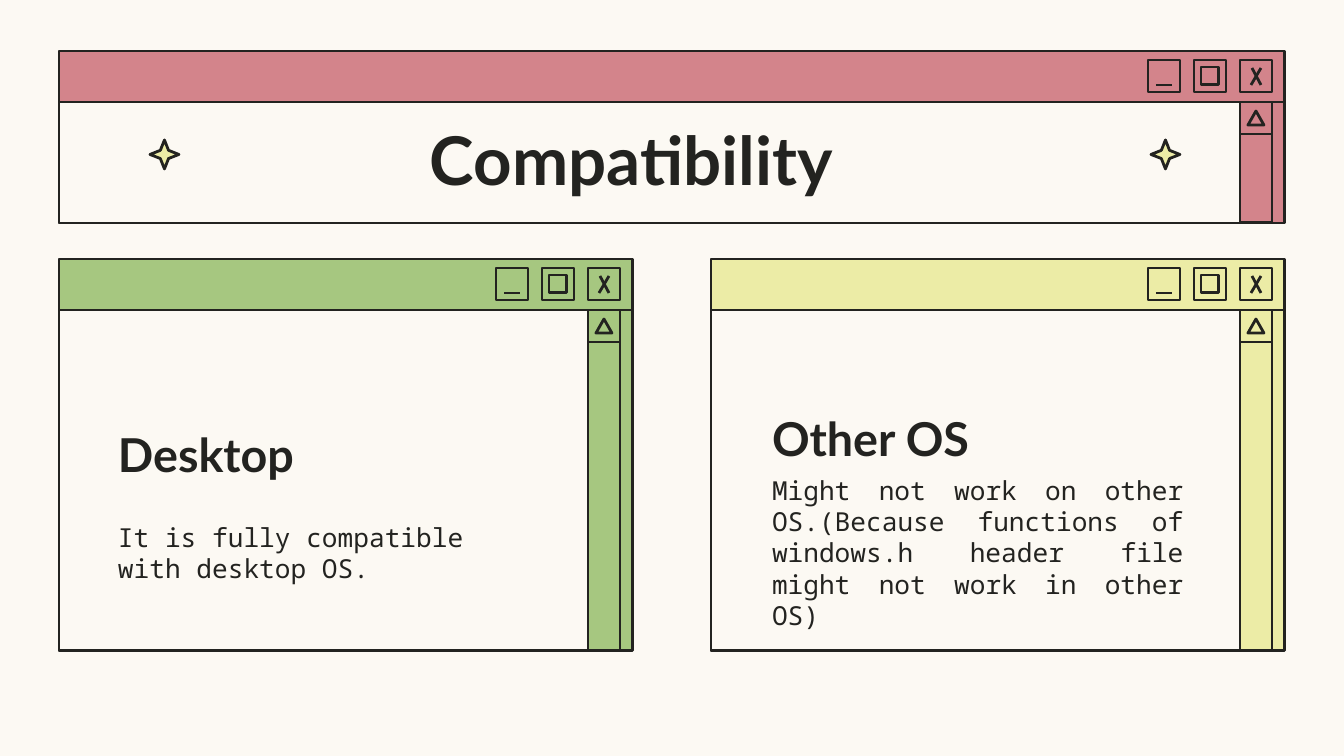
import pptx
import pptx.dml.color
import pptx.enum.shapes
import pptx.enum.text
import pptx.oxml.ns
import pptx.util
from lxml import etree

SHAPES = pptx.enum.shapes.MSO_SHAPE
ALIGN = pptx.enum.text.PP_ALIGN
PX = 914400 / 134.4

COLORS = {
    "paper": "FCF9F3",
    "ink": "232320",
    "pink": "D3848B",
    "green": "A6C780",
    "yellow": "ECECA6",
}

# left, top, right, bottom, color
WINDOWS = [
    (711, 259, 1285, 651, "yellow"),
    (59, 259, 633, 651, "green"),
    (59, 51, 1285, 223, "pink"),
]

STYLES = {
    "title": {"font": "Lato", "size": 36, "bold": True, "spacing": 1.0},
    "heading": {"font": "Lato", "size": 25, "bold": True, "spacing": 1.0},
    "body": {"font": "Noto Sans Mono", "size": 14, "bold": False,
             "spacing": pptx.util.Pt(16.8)},
}

# placeholder index, style, alignment, (left, top, width, height), text
TEXTS = [
    (0, "title", ALIGN.CENTER, (98, 114, 1067, 90), "Compatibility"),
    (1, "heading", ALIGN.LEFT, (105, 418, 438, 71), "Desktop"),
    (2, "body", ALIGN.LEFT, (105, 482, 438, 141),
     "It is fully compatible with desktop OS."),
    (3, "heading", ALIGN.LEFT, (759, 402, 438, 71), "Other OS"),
    (4, "body", ALIGN.JUSTIFY, (759, 482, 438, 141),
     "Might not work on other OS.(Because functions of windows.h header file "
     "might not work in other OS)"),
]

STARS = [(1151, 140), (150, 140)]
STAR_SIZE = 29

HEADER = 51
BUTTON = 32
BUTTON_STEP = 46
BUTTON_TOP = 9
SCROLL_INSET = 45
TEXT_INSET = 13


def emu(px):
    return pptx.util.Emu(round(px * PX))


def rgb(name):
    return pptx.dml.color.RGBColor.from_string(COLORS[name])


def ink_line(shape):
    shape.line.color.rgb = rgb("ink")
    shape.line.width = pptx.util.Pt(1.5)


def add_outlined(slide, kind, left, top, width, height, fill=None):
    shape = slide.shapes.add_shape(kind, emu(left), emu(top), emu(width), emu(height))
    shape.shadow.inherit = False
    if fill:
        shape.fill.solid()
        shape.fill.fore_color.rgb = rgb(fill)
    else:
        shape.fill.background()
    ink_line(shape)
    return shape


def add_stroke(slide, x1, y1, x2, y2):
    connector = slide.shapes.add_connector(
        pptx.enum.shapes.MSO_CONNECTOR.STRAIGHT, emu(x1), emu(y1), emu(x2), emu(y2))
    ink_line(connector)
    etree.SubElement(connector.element.spPr, pptx.oxml.ns.qn("a:effectLst"))


def add_buttons(slide, close_left, top):
    """Draw close, maximize and minimize, stepping leftwards."""
    close, maximize, minimize = (close_left - BUTTON_STEP * i for i in range(3))
    for left in (close, maximize, minimize):
        add_outlined(slide, SHAPES.RECTANGLE, left, top, BUTTON, BUTTON)
    add_outlined(slide, SHAPES.RECTANGLE, maximize + 7, top + 7, 18, 18)
    add_stroke(slide, close + 12, top + 8, close + 21, top + 25)
    add_stroke(slide, close + 21, top + 8, close + 11, top + 25)
    add_stroke(slide, minimize + 8, top + 25, minimize + 24, top + 25)


def add_window(slide, left, top, right, bottom, color):
    body_top = top + HEADER
    height = bottom - body_top
    scroll_left = right - SCROLL_INSET
    width = right - left
    add_outlined(slide, SHAPES.RECTANGLE, left, top, width, HEADER, color)
    add_outlined(slide, SHAPES.RECTANGLE, left, body_top, width, height, color)
    add_outlined(slide, SHAPES.RECTANGLE, left, body_top, scroll_left - left, height, "paper")
    add_buttons(slide, scroll_left, top + BUTTON_TOP)
    add_outlined(slide, SHAPES.RECTANGLE, scroll_left, body_top, BUTTON, BUTTON)
    add_outlined(slide, SHAPES.ISOSCELES_TRIANGLE, scroll_left + 8, body_top + 9, 16, 14)
    add_outlined(slide, SHAPES.RECTANGLE, scroll_left, body_top + BUTTON,
                 BUTTON, height - BUTTON, color)


def remove_bullet(paragraph):
    properties = paragraph._p.get_or_add_pPr()
    properties.set("marL", "0")
    properties.set("indent", "0")
    etree.SubElement(properties, pptx.oxml.ns.qn("a:buNone"))


def fill_placeholder(slide, index, style, alignment, box, text):
    placeholder = slide.placeholders[index]
    placeholder.left, placeholder.top, placeholder.width, placeholder.height = map(emu, box)
    # Bring the text in front of the windows
    placeholder.element.getparent().append(placeholder.element)

    frame = placeholder.text_frame
    frame.text = text
    frame.word_wrap = True
    frame.auto_size = pptx.enum.text.MSO_AUTO_SIZE.NONE
    frame.vertical_anchor = pptx.enum.text.MSO_ANCHOR.MIDDLE
    frame.margin_left = frame.margin_right = emu(TEXT_INSET)
    frame.margin_top = frame.margin_bottom = emu(TEXT_INSET)

    look = STYLES[style]
    paragraph = frame.paragraphs[0]
    paragraph.alignment = alignment
    paragraph.line_spacing = look["spacing"]
    paragraph.space_before = pptx.util.Pt(0)
    remove_bullet(paragraph)
    paragraph.font.name = look["font"]
    paragraph.font.size = pptx.util.Pt(look["size"])
    paragraph.font.bold = look["bold"]
    paragraph.font.color.rgb = rgb("ink")


def main():
    presentation = pptx.Presentation()
    presentation.slide_width = emu(1344)
    presentation.slide_height = emu(756)
    slide = presentation.slides.add_slide(
        presentation.slide_layouts.get_by_name("Comparison"))
    slide.background.fill.solid()
    slide.background.fill.fore_color.rgb = rgb("paper")

    for window in WINDOWS:
        add_window(slide, *window)
    for text in TEXTS:
        fill_placeholder(slide, *text)
    for left, top in STARS:
        star = add_outlined(slide, SHAPES.STAR_4_POINT, left, top,
                            STAR_SIZE, STAR_SIZE, "yellow")
        star.adjustments[0] = 0.2

    presentation.save("out.pptx")


if __name__ == "__main__":
    main()
